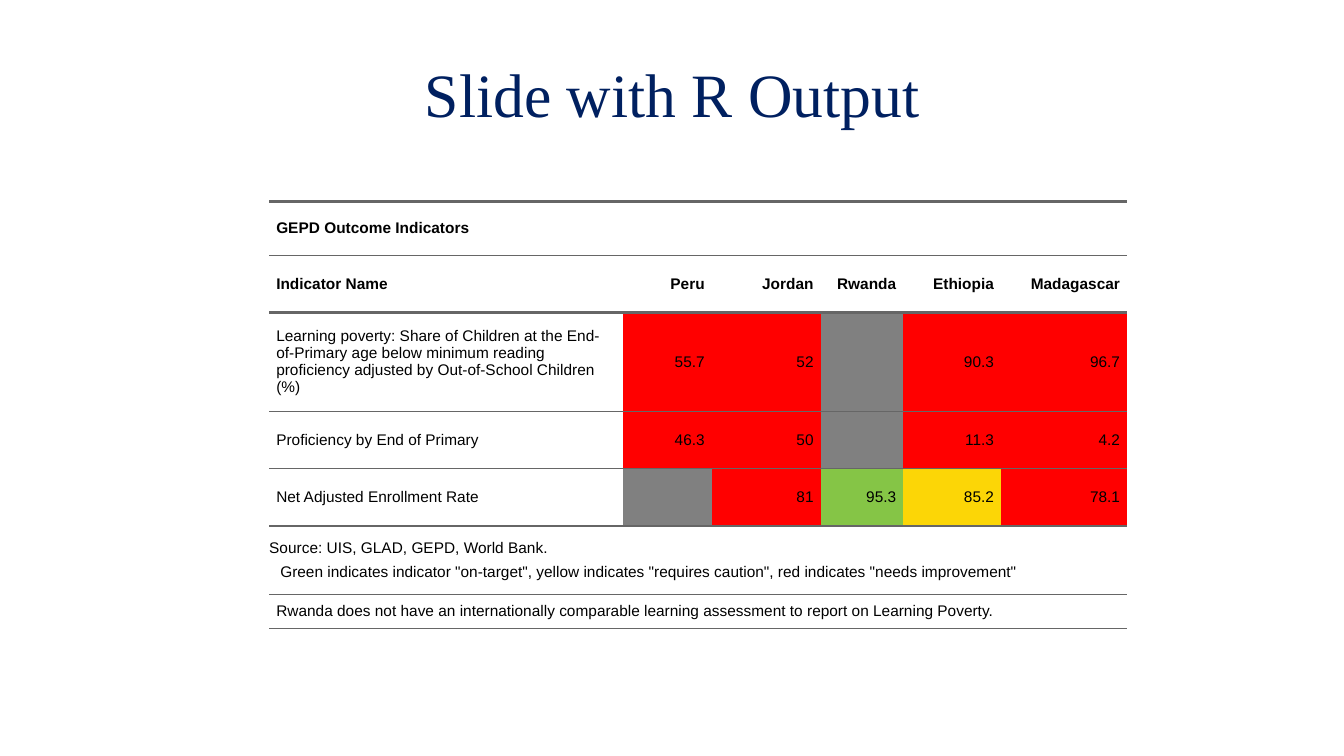
from pptx import Presentation
from pptx.dml.color import RGBColor
from pptx.enum.text import MSO_ANCHOR, PP_ALIGN
from pptx.oxml import parse_xml
from pptx.oxml.ns import nsdecls
from pptx.util import Inches, Pt

COLORS = {
    "title": "002060",
    "text": "000000",
    "rule": "666666",
    "red": "FF0000",
    "gray": "808080",
    "green": "85C546",
    "yellow": "FCD606",
}
TITLE = "Slide with R Output"
CAPTION = "GEPD Outcome Indicators"
HEADER = ["Indicator Name", "Peru", "Jordan", "Rwanda", "Ethiopia", "Madagascar"]
INDICATORS = [
    ["Learning poverty: Share of Children at the End-of-Primary age below minimum "
     "reading proficiency adjusted by Out-of-School Children (%)",
     "55.7", "52", "", "90.3", "96.7"],
    ["Proficiency by End of Primary", "46.3", "50", "", "11.3", "4.2"],
    ["Net Adjusted Enrollment Rate", "", "81", "95.3", "85.2", "78.1"],
]
RATINGS = [
    ["red", "red", "gray", "red", "red"],
    ["red", "red", "gray", "red", "red"],
    ["gray", "red", "green", "yellow", "red"],
]
SOURCE = "Source: UIS, GLAD, GEPD, World Bank."
LEGEND = ('Green indicates indicator "on-target", yellow indicates "requires caution", '
          'red indicates "needs improvement"')
FOOTNOTE = ("Rwanda does not have an internationally comparable learning assessment "
            "to report on Learning Poverty.")

COLUMN_WIDTHS = [3.51, 0.88, 1.08, 0.82, 0.97, 1.25]
ROW_HEIGHTS = [0.53, 0.57, 0.98, 0.57, 0.57, 0.68, 0.33]
RULE_WIDTHS = [2, 0.5, 2, 0.5, 0.5, 2, 0.5, 0.5]
HEADER_ROWS = 2
INDENT = 0.07


def color(name):
    return RGBColor.from_string(COLORS[name])


def style_paragraph(paragraph, text, bold, align=PP_ALIGN.LEFT, left=INDENT, after=5):
    paragraph.text = text
    paragraph.alignment = align
    paragraph.space_before = Pt(5)
    paragraph.space_after = Pt(after)
    font = paragraph.font
    font.name, font.size, font.bold = "Arial", Pt(11), bold
    font.color.rgb = color("text")
    properties = paragraph._p.get_or_add_pPr()
    properties.set("marL", str(Inches(left)))
    properties.set("marR", str(Inches(INDENT)))
    properties.set("indent", "0")


def set_borders(cell, top, bottom):
    properties = cell._tc.get_or_add_tcPr()
    for index, (side, width) in enumerate(zip("LRTB", (0, 0, top, bottom))):
        paint = "<a:noFill/>"
        if width:
            paint = f'<a:solidFill><a:srgbClr val="{COLORS["rule"]}"/></a:solidFill>'
        line = f'<a:ln{side} {nsdecls("a")} w="{Pt(width)}">{paint}</a:ln{side}>'
        properties.insert(index, parse_xml(line))


def add_title(page):
    box = page.shapes.add_textbox(Inches(0.67), Inches(0.3), Inches(12), Inches(1.25))
    frame = box.text_frame
    frame.word_wrap = True
    frame.vertical_anchor = MSO_ANCHOR.MIDDLE
    para = frame.paragraphs[0]
    para.text = TITLE
    para.alignment = PP_ALIGN.CENTER
    para.font.name, para.font.size = "Times New Roman", Pt(44)
    para.font.color.rgb = color("title")


def add_indicator_table(page):
    rows = [[CAPTION], HEADER, *INDICATORS, [SOURCE], [FOOTNOTE]]
    table = page.shapes.add_table(
        len(rows), len(HEADER), Inches(2.67), Inches(2),
        Inches(sum(COLUMN_WIDTHS)), Inches(sum(ROW_HEIGHTS))).table
    table.first_row = table.horz_banding = False
    for column, width in zip(table.columns, COLUMN_WIDTHS):
        column.width = Inches(width)

    for r, texts in enumerate(rows):
        table.rows[r].height = Inches(ROW_HEIGHTS[r])
        if len(texts) == 1:
            table.cell(r, 0).merge(table.cell(r, len(HEADER) - 1))
        for c in range(len(HEADER)):
            cell = table.cell(r, c)
            cell.margin_left = cell.margin_right = 0
            cell.margin_top = cell.margin_bottom = 0
            cell.vertical_anchor = MSO_ANCHOR.MIDDLE
            set_borders(cell, RULE_WIDTHS[r], RULE_WIDTHS[r + 1])
            cell.fill.background()
            if c < len(texts):
                style_paragraph(cell.text_frame.paragraphs[0], texts[c],
                                r < HEADER_ROWS, PP_ALIGN.RIGHT if c else PP_ALIGN.LEFT)

    for r, ratings in enumerate(RATINGS, HEADER_ROWS):
        for c, rating in enumerate(ratings, 1):
            fill = table.cell(r, c).fill
            fill.solid()
            fill.fore_color.rgb = color(rating)

    frame = table.cell(len(rows) - 2, 0).text_frame
    style_paragraph(frame.paragraphs[0], SOURCE, False, left=0, after=0)
    style_paragraph(frame.add_paragraph(), LEGEND, False, left=0.11)


def main():
    deck = Presentation()
    deck.slide_width, deck.slide_height = Inches(13.33), Inches(7.5)
    page = deck.slides.add_slide(deck.slide_layouts[6])
    add_title(page)
    add_indicator_table(page)
    deck.save("out.pptx")


if __name__ == "__main__":
    main()
